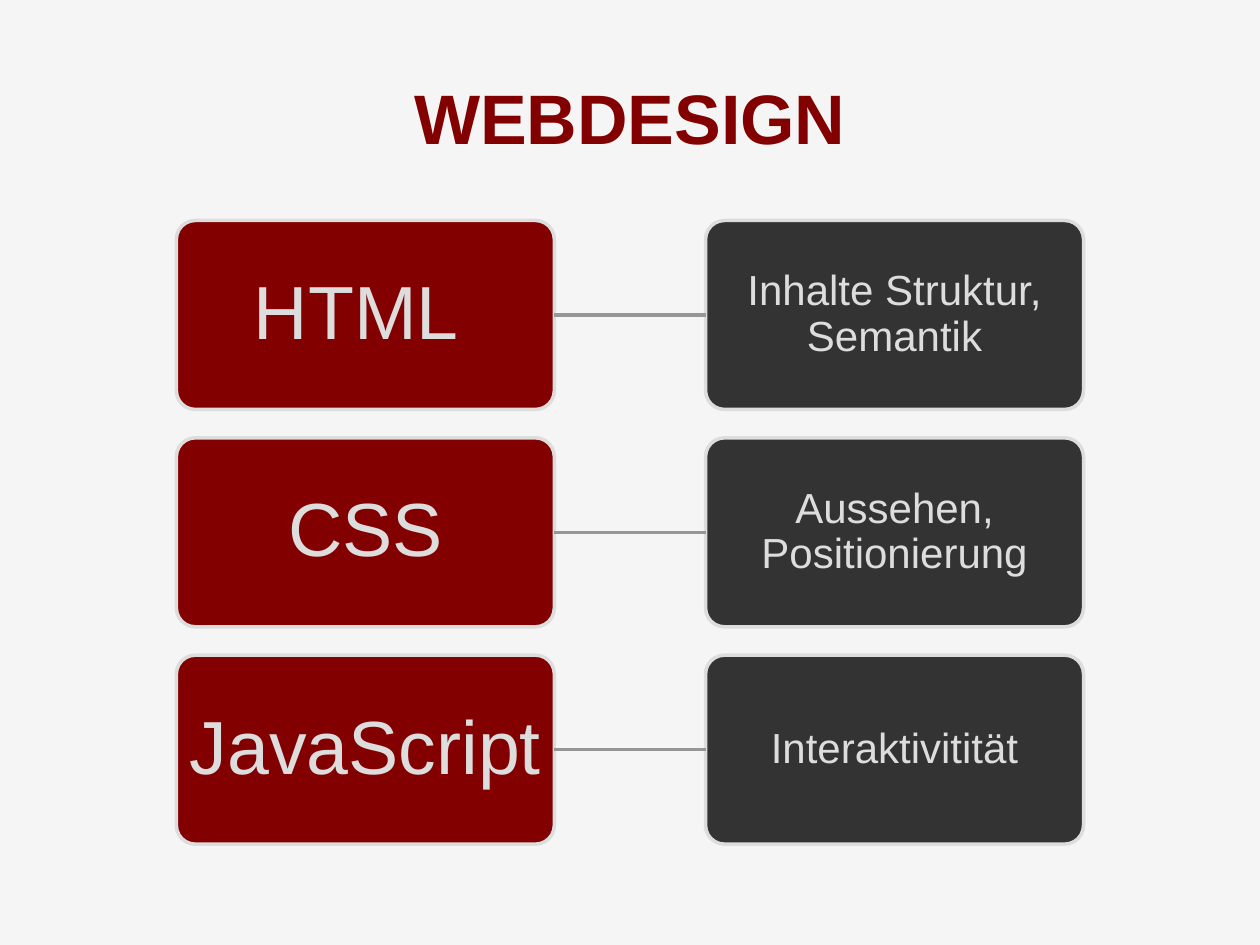
from dataclasses import dataclass

from lxml.etree import SubElement
from pptx import Presentation
from pptx.dml.color import RGBColor as Rgb
from pptx.enum.shapes import MSO_CONNECTOR as Conn, MSO_SHAPE as Shape
from pptx.enum.text import MSO_ANCHOR as Anchor, PP_ALIGN as Align
from pptx.oxml.ns import qn
from pptx.util import Inches, Pt


@dataclass(frozen=True)
class Theme:
    font: str = "Arial"
    back: Rgb = Rgb(0xF5, 0xF5, 0xF5)
    red: Rgb = Rgb(0x82, 0x00, 0x00)
    dark: Rgb = Rgb(0x33, 0x33, 0x33)
    light: Rgb = Rgb(0xDD, 0xDD, 0xDD)
    link: Rgb = Rgb(0x96, 0x96, 0x96)
    title: Pt = Pt(40)
    term: Pt = Pt(43)
    role: Pt = Pt(24)
    line: Pt = Pt(2)


THEME = Theme()
# The trailing space shifts the centred word slightly to the left
ROWS = [
    ("HTML ", "Inhalte Struktur, Semantik"),
    ("CSS", "Aussehen, Positionierung"),
    ("JavaScript", "Interaktivitität"),
]


def set_text(shape, text, size, color, bold=False):
    frame = shape.text_frame
    frame.word_wrap = True
    frame.vertical_anchor = Anchor.MIDDLE
    para = frame.paragraphs[0]
    para.text = text
    para.alignment = Align.CENTER
    font = para.font
    font.name, font.size, font.bold = THEME.font, size, bold
    font.color.rgb = color
    return frame, para


def add_title(slide, text, x, y, w, h):
    box = slide.shapes.add_textbox(x, y, w, h)
    set_text(box, text, THEME.title, THEME.red, bold=True)


def add_card(slide, text, size, fill, inset, x, y, w, h):
    card = slide.shapes.add_shape(Shape.ROUNDED_RECTANGLE, x, y, w, h)
    card.adjustments[0] = 0.1
    card.shadow.inherit = False
    card.fill.solid()
    card.fill.fore_color.rgb = fill
    card.line.color.rgb = THEME.light
    card.line.width = THEME.line
    frame, para = set_text(card, text, size, THEME.light)
    frame.margin_left = frame.margin_right = inset
    frame.margin_top = frame.margin_bottom = inset
    para.line_spacing = 0.9
    return card


def add_link(slide, start, end):
    link = slide.shapes.add_connector(Conn.STRAIGHT, 0, 0, 0, 0)
    link.begin_connect(start, 3)
    link.end_connect(end, 1)
    link.line.color.rgb = THEME.link
    link.line.width = THEME.line
    SubElement(link._element.spPr, qn("a:effectLst"))


def add_pairs(slide, rows, x, y, w, h):
    """Fill the box with rows of a term linked to its role."""
    wide, high = Inches(3), Inches(1.5)
    step = (h - high) // (len(rows) - 1)
    for i, (term, role) in enumerate(rows):
        top = y + i * step
        left = add_card(slide, term, THEME.term, THEME.red,
                        Inches(0.03), x, top, wide, high)
        right = add_card(slide, role, THEME.role, THEME.dark,
                         Inches(0.02), x + w - wide, top, wide, high)
        add_link(slide, left, right)


def main():
    deck = Presentation()
    deck.slide_width, deck.slide_height = Inches(10), Inches(7.5)
    slide = deck.slides.add_slide(deck.slide_layouts[6])
    slide.background.fill.solid()
    slide.background.fill.fore_color.rgb = THEME.back

    # Heading
    add_title(slide, "WEBDESIGN",
              Inches(0.5), Inches(0.3), Inches(9), Inches(1.25))
    # Terms and roles
    add_pairs(slide, ROWS,
              Inches(1.4), Inches(1.75), Inches(7.2), Inches(4.95))

    deck.save("out.pptx")


if __name__ == "__main__":
    main()
